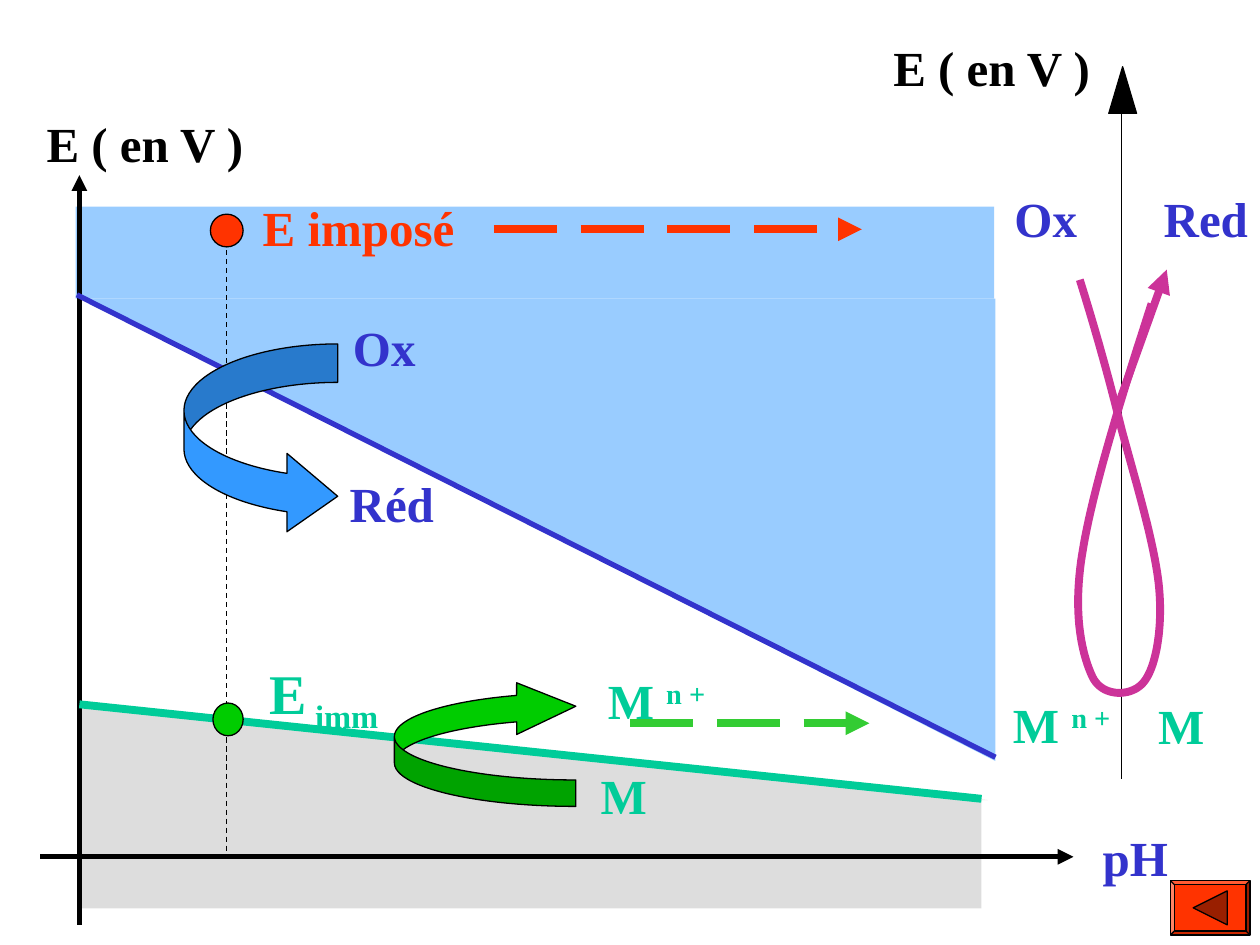
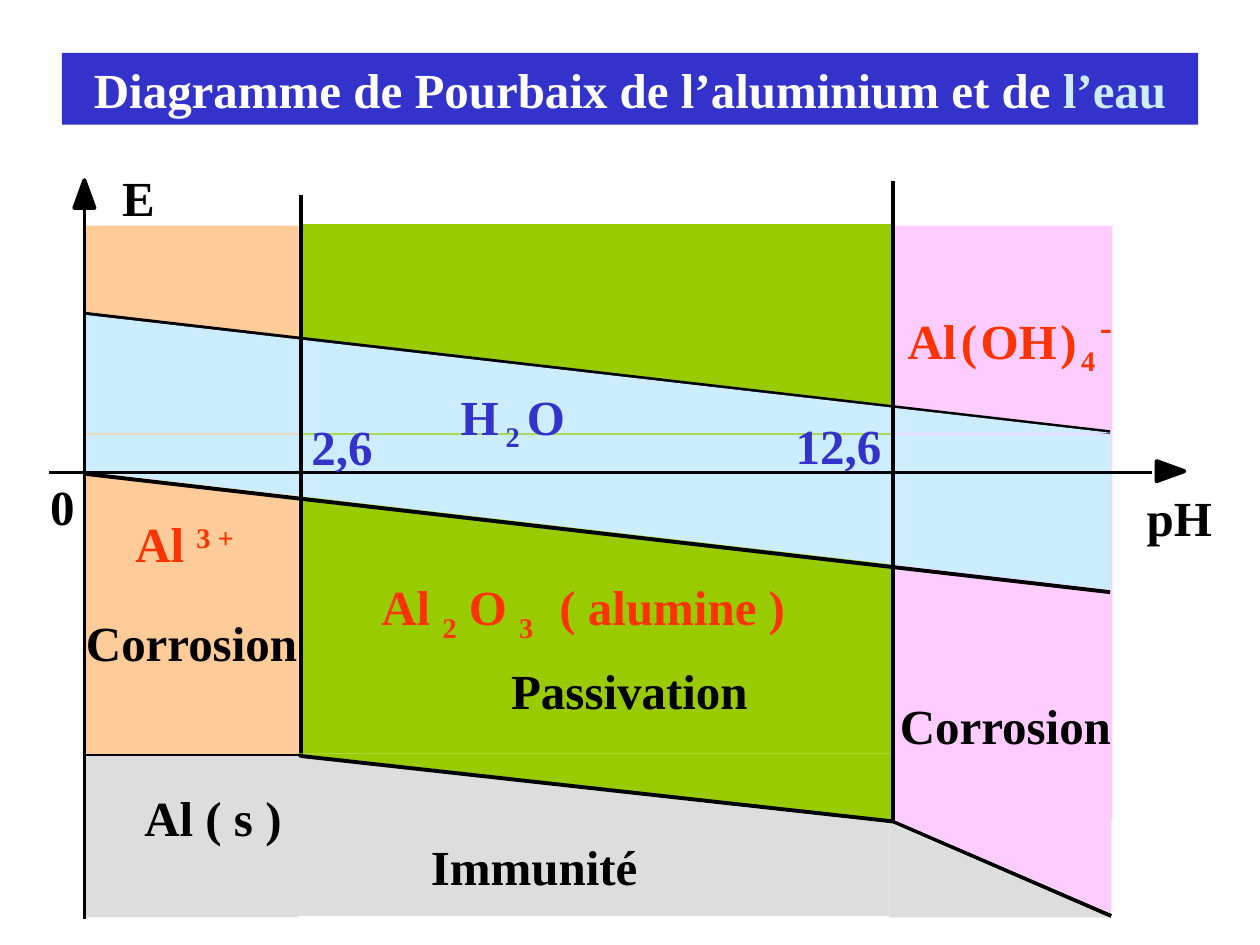
import pptx
import pptx.dml.color
import pptx.enum.dml
import pptx.enum.shapes
import pptx.enum.text
import pptx.oxml
import pptx.oxml.ns
import pptx.util

Inches = pptx.util.Inches
SHAPE = pptx.enum.shapes.MSO_SHAPE
DASH = pptx.enum.dml.MSO_LINE

FONT = "Times New Roman"
TEXT_SIZE = 28
SUB, SUP = -25, 30

BLACK = "000000"
WHITE = "FFFFFF"
BLUE = "3333CC"
RED = "FF3300"
TEAL = "00CC99"
GREEN = "00CC00"
GREY = "DDDDDD"
SKY = "99CCFF"
WATER = "CCECFF"
OLIVE = "99CC00"
PEACH = "FFCC99"
PINK = "FFCCFF"
MAGENTA = "CC3399"


def rgb(value):
    return pptx.dml.color.RGBColor.from_string(value)


def add_block(slide, kind, at, fill, outline=None, rotation=0, adjust=()):
    """Add a filled preset shape; outline is its line width in points."""
    shape = slide.shapes.add_shape(kind, *map(Inches, at))
    shape.shadow.inherit = False
    shape.fill.solid()
    shape.fill.fore_color.rgb = rgb(fill)
    if outline:
        shape.line.color.rgb = rgb(BLACK)
        shape.line.width = pptx.util.Pt(outline)
    else:
        shape.line.fill.background()
    shape.rotation = rotation
    for index, value in enumerate(adjust):
        shape.adjustments[index] = value
    return shape


def add_line(slide, start, end, color, width, dash=None, arrow=False):
    line = slide.shapes.add_connector(
        pptx.enum.shapes.MSO_CONNECTOR.STRAIGHT, *map(Inches, start + end))
    line.line.color.rgb = rgb(color)
    line.line.width = pptx.util.Pt(width)
    if dash:
        line.line.dash_style = dash
    properties = line._element.spPr
    if arrow:
        head = pptx.oxml.parse_xml(
            f'<a:tailEnd {pptx.oxml.ns.nsdecls("a")} type="triangle"/>')
        line.line._get_or_add_ln().append(head)
    properties.append(pptx.oxml.parse_xml(
        f'<a:effectLst {pptx.oxml.ns.nsdecls("a")}/>'))


def write(box, color, spans):
    """Fill a box with spans: plain text or (text, size, baseline, color)."""
    frame = box.text_frame
    frame.word_wrap = True
    frame.auto_size = pptx.enum.text.MSO_AUTO_SIZE.SHAPE_TO_FIT_TEXT
    frame.vertical_anchor = pptx.enum.text.MSO_ANCHOR.TOP
    para = frame.paragraphs[0]
    para.alignment = pptx.enum.text.PP_ALIGN.CENTER
    for item in spans:
        parts = (item,) if isinstance(item, str) else item
        text, size, baseline, own_color = (
            parts + (TEXT_SIZE, 0, color)[len(parts) - 1:])
        span = para.add_run()
        span.text = text
        span.font.name = FONT
        span.font.size = pptx.util.Pt(size)
        span.font.bold = True
        span.font.color.rgb = rgb(own_color)
        if baseline:
            span._r.get_or_add_rPr().set("baseline", str(baseline * 1000))


def add_label(slide, left, top, width, color, *spans, height=0.57):
    box = slide.shapes.add_textbox(*map(Inches, (left, top, width, height)))
    write(box, color, spans)


def bezier(start, curves, steps=24):
    """Return the points along a chain of cubic curves."""
    points = [start]
    for first, second, end in curves:
        origin = points[-1]
        for step in range(1, steps + 1):
            t = step / steps
            weights = ((1 - t) ** 3, 3 * t * (1 - t) ** 2,
                       3 * t * t * (1 - t), t ** 3)
            points.append(tuple(
                sum(w * v for w, v in zip(weights, values))
                for values in zip(origin, first, second, end)))
    return points


def add_curve(slide, points, color, width):
    points = [(Inches(x), Inches(y)) for x, y in points]
    builder = slide.shapes.build_freeform(*points[0])
    builder.add_line_segments(points[1:], close=False)
    curve = builder.convert_to_shape()
    curve.shadow.inherit = False
    curve.fill.background()
    curve.line.color.rgb = rgb(color)
    curve.line.width = pptx.util.Pt(width)


def add_back_button(slide):
    add_block(slide, SHAPE.BEVEL, (9.29, 6.99, 0.63, 0.43), RED, 0.75,
              adjust=[0.07])
    add_block(slide, SHAPE.ISOSCELES_TRIANGLE, (9.47, 7.07, 0.27, 0.27),
              "991F00", 0.75, rotation=270)


def build_imposed_potential(slide):
    axis_x, axis_y, probe_x = 0.63, 6.8, 1.8
    metal_ion = ("M ", ("n +", TEXT_SIZE, SUP))

    add_block(slide, SHAPE.RIGHT_TRIANGLE, (0.64, 5.62, 7.2, 0.73), GREY)
    add_block(slide, SHAPE.RECTANGLE, (0.65, 6.35, 7.14, 0.86), GREY)
    add_block(slide, SHAPE.RECTANGLE, (0.6, 1.64, 7.29, 0.73), SKY)
    add_block(slide, SHAPE.RIGHT_TRIANGLE, (0.68, 2.37, 7.22, 3.67), SKY,
              rotation=180)

    add_line(slide, (probe_x, 1.84), (probe_x, axis_y), BLACK, 0.75, DASH.DASH)
    add_line(slide, (axis_x, 7.34), (axis_x, 1.39), BLACK, 3, arrow=True)
    add_line(slide, (0.32, axis_y), (8.52, axis_y), BLACK, 3, arrow=True)
    add_line(slide, (0.61, 2.34), (7.9, 6.01), BLUE, 3)
    add_line(slide, (axis_x, 5.59), (7.79, 6.34), TEAL, 4.5)

    add_block(slide, SHAPE.OVAL, (1.67, 1.7, 0.26, 0.26), RED, 0.75)
    add_block(slide, SHAPE.OVAL, (1.69, 5.58, 0.24, 0.26), GREEN, 0.75)
    add_block(slide, SHAPE.CURVED_RIGHT_ARROW, (1.46, 2.73, 1.22, 1.52),
              "3399FF", 0.75, adjust=[0.25, 0.51, 0.33])
    add_block(slide, SHAPE.CURVED_LEFT_ARROW, (3.13, 5.4, 1.44, 1), GREEN,
              0.75, rotation=180, adjust=[0.21, 0.41, 0.47])

    add_label(slide, 0.23, 0.85, 1.84, BLACK, "E ( en V )")
    add_label(slide, 6.95, 0.25, 1.84, BLACK, "E ( en V )")
    add_label(slide, 1.6, 1.52, 2.49, RED, "E imposé")
    add_label(slide, 8.5, 6.52, 1.02, BLUE, "pH")
    add_label(slide, 1.76, 5.18, 1.62, TEAL, ("E", 32), (" imm", 32, SUB),
              height=0.71)
    add_label(slide, 4.3, 5.27, 1.82, TEAL, *metal_ion)
    add_label(slide, 4.04, 6.03, 1.82, TEAL, "M")
    add_label(slide, 2.15, 2.47, 1.8, BLUE, "Ox")
    add_label(slide, 2.23, 3.71, 1.76, BLUE, "Réd")
    add_label(slide, 7.8, 1.45, 1, BLUE, "Ox")
    add_label(slide, 9.07, 1.45, 1, BLUE, "Red")
    add_label(slide, 7.8, 5.46, 1.25, TEAL, *metal_ion)
    add_label(slide, 8.75, 5.47, 1.25, TEAL, "M")

    add_line(slide, (3.92, 1.82), (6.84, 1.82), RED, 4.5, DASH.LONG_DASH, True)
    add_line(slide, (5, 5.74), (6.9, 5.74), "33CC33", 4.5, DASH.LONG_DASH, True)

    add_block(slide, SHAPE.ISOSCELES_TRIANGLE, (8.8, 0.53, 0.22, 0.37), BLACK,
              0.75)
    add_line(slide, (8.9, 6.18), (8.9, 0.71), BLACK, 0.75)
    gamma_loop = bezier((8.57, 2.22), [
        ((8.68, 2.57), (8.8, 2.99), (8.9, 3.4)),
        ((9.01, 3.81), (9.17, 4.33), (9.2, 4.67)),
        ((9.23, 5), (9.17, 5.3), (9.08, 5.41)),
        ((8.99, 5.53), (8.75, 5.54), (8.67, 5.37)),
        ((8.59, 5.2), (8.51, 4.88), (8.59, 4.39)),
        ((8.67, 3.89), (8.9, 3.15), (9.14, 2.41)),
    ])
    add_curve(slide, gamma_loop, MAGENTA, 4.5)
    add_line(slide, (8.88, 3.2), (9.26, 2.14), MAGENTA, 4.5, arrow=True)
    add_back_button(slide)


def build_aluminium_diagram(slide):
    axis_x, acid_x, base_x, right_x = 0.67, 2.39, 7.09, 8.82
    axis_y, metal_y, base_metal_y = 3.75, 6, 6.52

    add_block(slide, SHAPE.RECTANGLE, (7.1, 1.79, 1.73, 4.72), PINK)
    add_block(slide, SHAPE.RECTANGLE, (2.4, 1.78, 4.7, 4.2), OLIVE)
    add_block(slide, SHAPE.RECTANGLE, (axis_x, 1.79, 1.7, 4.21), PEACH)

    title = add_block(slide, SHAPE.RECTANGLE, (0.49, 0.42, 9.02, 0.57), BLUE)
    write(title, WHITE, ["Diagramme de Pourbaix de l’aluminium et de ",
                         ("l’eau", TEXT_SIZE, 0, WATER)])

    for left, top, rotation in ((0.59, 1.43, 0), (9.21, 3.63, 90)):
        add_block(slide, SHAPE.ISOSCELES_TRIANGLE, (left, top, 0.16, 0.22),
                  BLACK, 2.25, rotation)

    for top in (2.49, 3.76):
        add_line(slide, (axis_x, top), (8.81, top + 0.94), BLACK, 2.25)
    add_line(slide, (axis_x, metal_y), (acid_x, metal_y), BLACK, 2.25)
    add_block(slide, SHAPE.RIGHT_TRIANGLE, (0.66, 3.74, 8.16, 0.94), WATER,
              rotation=180)
    add_block(slide, SHAPE.RIGHT_TRIANGLE, (0.68, 2.5, 8.18, 0.94), WATER)
    add_block(slide, SHAPE.RECTANGLE, (0.68, 3.45, 8.14, 0.29), WATER)
    add_line(slide, (acid_x, metal_y), (acid_x, 1.55), BLACK, 2.25)
    add_line(slide, (0.39, axis_y), (9.14, axis_y), BLACK, 1.5)

    add_block(slide, SHAPE.RIGHT_TRIANGLE, (2.35, 5.98, 4.74, 0.53), OLIVE,
              rotation=180)
    add_block(slide, SHAPE.RIGHT_TRIANGLE, (2.36, 6.01, 4.74, 0.53), GREY)
    add_block(slide, SHAPE.RECTANGLE, (axis_x, metal_y, 1.7, 1.28), GREY)
    add_block(slide, SHAPE.RECTANGLE, (2.35, 6.53, 4.71, 0.74), GREY)
    add_block(slide, SHAPE.RIGHT_TRIANGLE, (7.06, 6.53, 1.74, 0.75), GREY)
    add_line(slide, (base_x, base_metal_y), (right_x, 7.27), BLACK, 2.25)
    add_line(slide, (acid_x, metal_y), (base_x, base_metal_y), BLACK, 2.25)
    add_line(slide, (base_x, base_metal_y), (base_x, 1.44), BLACK, 2.25)
    add_block(slide, SHAPE.RIGHT_TRIANGLE, (7.1, 6.51, 1.72, 0.74), PINK,
              rotation=180)
    add_line(slide, (axis_x, 7.29), (axis_x, 1.66), BLACK, 1.5)

    add_label(slide, 0.8, 1.28, 0.6, BLACK, "E")
    add_label(slide, 8.72, 3.82, 1.28, BLACK, "pH")
    add_label(slide, 0.23, 3.73, 0.53, BLACK, "0")
    add_label(slide, 2.1, 3.26, 1.23, BLUE, "2,6")
    add_label(slide, 6.04, 3.25, 1.23, BLUE, "12,6")
    add_label(slide, 3.14, 3.02, 1.86, BLUE, "H", (" ", 16),
              ("2", TEXT_SIZE, SUB), (" ", 16), "O", height=0.63)
    add_label(slide, 0.85, 4.03, 1.23, RED, "Al ", ("3 +", TEXT_SIZE, SUP))
    add_label(slide, 2.67, 4.53, 1.92, RED, "Al ", ("2", TEXT_SIZE, SUB),
              " O ", ("3", TEXT_SIZE, SUB), height=0.63)
    add_label(slide, 4.19, 4.53, 2.29, RED, "( alumine )")
    add_label(slide, 6.93, 2.3, 2.17, RED, "Al", (" ", 10), "(", (" ", 8),
              "OH", (" ", 8), ")", (" ", 18, SUB), ("4", TEXT_SIZE, SUB),
              (" ", 18, SUP), ("-", 36, SUP), height=0.74)
    add_label(slide, 0.84, 6.2, 1.7, BLACK, "Al ( s )")
    add_label(slide, 2.76, 6.59, 2.96, BLACK, "Immunité")
    add_label(slide, 3.8, 5.19, 2.39, BLACK, "Passivation")
    for left, top in ((6.91, 5.47), (0.45, 4.81)):
        add_label(slide, left, top, 2.14, BLACK, "Corrosion")


def main():
    deck = pptx.Presentation()
    deck.slide_width = Inches(10)
    deck.slide_height = Inches(7.5)
    for build in (build_imposed_potential, build_aluminium_diagram):
        build(deck.slides.add_slide(deck.slide_layouts[6]))
    deck.save("out.pptx")


if __name__ == "__main__":
    main()
